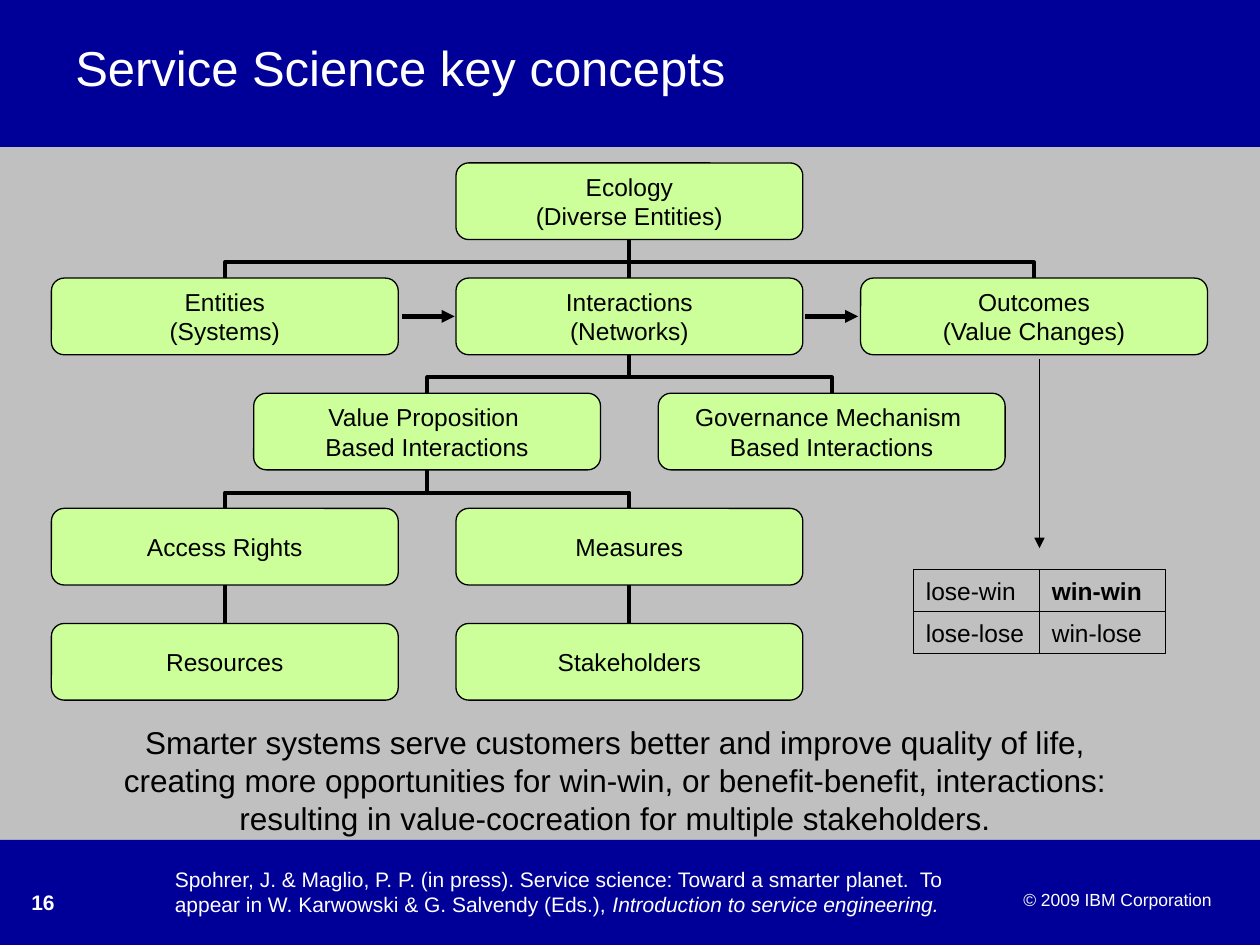
from dataclasses import dataclass
from typing import NamedTuple

from lxml import etree
from pptx import Presentation
from pptx import util as u
from pptx.dml.color import RGBColor
from pptx.enum import shapes, text
from pptx.oxml.ns import qn

Pt = u.Pt


@dataclass(frozen=True)
class Theme:
    font: str = "Arial"
    navy: str = "000099"
    grey: str = "C0C0C0"
    green: str = "CCFF99"
    black: str = "000000"
    white: str = "FFFFFF"
    title: float = 28
    statement: float = 18
    label: float = 14
    footer: float = 12
    copyright: float = 10
    thin: float = 0.75
    link: float = 2.25
    arrow: float = 2.5


THEME = Theme()


class Area(NamedTuple):
    left: float
    top: float
    width: float
    height: float


class Concept(NamedTuple):
    column: int  # in half-column steps
    row: int
    lines: list[str]
    parent: str = ""


class Run(NamedTuple):
    words: str
    style: dict = {}


class Caption(NamedTuple):
    area: Area
    paragraphs: list[list[Run]]
    size: float
    color: str
    frame: dict = {}
    paragraph: dict = {}


STEP, FIRST_LEFT, BOX_WIDTH = 115.6, 29.4, 198.2
PITCH, FIRST_TOP, BOX_HEIGHT = 65.8, 93.1, 43.8
BEND = 59.2  # percent of the way from parent to child
TOP, BOTTOM = 0, 2

CONCEPTS = {
    "ecology": Concept(2, 0, ["Ecology", "(Diverse Entities)"]),
    "entities": Concept(0, 1, ["Entities", "(Systems)"], "ecology"),
    "interactions": Concept(2, 1, ["Interactions", "(Networks)"], "ecology"),
    "outcomes": Concept(4, 1, ["Outcomes", "(Value Changes)"], "ecology"),
    "value": Concept(1, 2, ["Value Proposition ", "Based Interactions"], "interactions"),
    "governance": Concept(3, 2, ["Governance Mechanism ", "Based Interactions"], "interactions"),
    "access": Concept(0, 3, ["Access Rights"], "value"),
    "measures": Concept(2, 3, ["Measures"], "value"),
    "resources": Concept(0, 4, ["Resources"], "access"),
    "stakeholders": Concept(2, 4, ["Stakeholders"], "measures"),
}

OUTCOME_GRID = [[Run("lose-win"), Run("win-win", {"bold": True})],
                [Run("lose-lose"), Run("win-lose")]]
GRID = Area(522, 325.4, 72, 24)  # first cell

CENTER = {"alignment": text.PP_ALIGN.CENTER}
CAPTIONS = [
    Caption(Area(36, 21.6, 648, 90), [[Run("Service Science key concepts")]],
            THEME.title, THEME.white, paragraph={"line_spacing": 0.9}),
    Caption(Area(41.5, 409.7, 620, 72),
            [[Run("Smarter systems serve customers better and improve quality of life,")],
             [Run("creating more opportunities for win-win, or benefit-benefit, interactions:")],
             [Run("resulting in value-cocreation for multiple stakeholders.")]],
            THEME.statement, THEME.black,
            {"word_wrap": False, "vertical_anchor": text.MSO_ANCHOR.BOTTOM}, CENTER),
    Caption(Area(92.8, 491.6, 494, 36),
            [[Run("Spohrer, J. & Maglio, P. P. (in press). Service science: Toward a "
                  "smarter planet.  To appear in W. Karwowski & G. Salvendy (Eds.), "),
              Run("Introduction to service engineering.", {"italic": True})]],
            THEME.footer, THEME.white),
    Caption(Area(10.8, 504.5, 79.2, 25), [[Run("16", {"bold": True})]],
            THEME.footer, THEME.white),
    Caption(Area(569.4, 504.7, 130, 19.4), [[Run("© 2009 IBM Corporation")]],
            THEME.copyright, THEME.white, paragraph={"alignment": text.PP_ALIGN.RIGHT}),
]


def apply(target, values: dict) -> None:
    for name, value in values.items():
        setattr(target, name, value)


def write(frame, paragraphs: list[list[Run]], size: float, color: str,
          frame_style: dict, paragraph_style: dict) -> None:
    apply(frame, {"word_wrap": True, **frame_style})
    for index, runs in enumerate(paragraphs):
        paragraph = frame.add_paragraph() if index else frame.paragraphs[0]
        apply(paragraph, paragraph_style)
        for words, style in runs:
            run = paragraph.add_run()
            run.text = words
            apply(run.font, {"name": THEME.font, "size": Pt(size), **style})
            run.font.color.rgb = RGBColor.from_string(color)


def add_block(slide, kind, area: Area, fill: str = "", line: str = ""):
    """Add a preset shape; without a colour its fill or line is left off."""
    block = slide.shapes.add_shape(kind, *map(Pt, area))
    block.shadow.inherit = False
    for paint, color in ((block.fill, fill), (block.line.fill, line)):
        if color:
            paint.solid()
            paint.fore_color.rgb = RGBColor.from_string(color)
        else:
            paint.background()
    block.line.width = Pt(THEME.thin)
    return block


def add_line(slide, kind, ends: tuple, width: float, arrow: bool = False):
    line = slide.shapes.add_connector(kind, *map(Pt, ends))
    line.line.width = Pt(width)
    line.line.color.rgb = RGBColor.from_string(THEME.black)
    if arrow:
        etree.SubElement(line.line._get_or_add_ln(), qn("a:tailEnd"), type="triangle")
    etree.SubElement(line._element.spPr, qn("a:effectLst"))
    return line


def concept_area(concept: Concept) -> Area:
    return Area(FIRST_LEFT + concept.column * STEP, FIRST_TOP + concept.row * PITCH,
                BOX_WIDTH, BOX_HEIGHT)


def add_concept(slide, concept: Concept):
    box = add_block(slide, shapes.MSO_SHAPE.ROUNDED_RECTANGLE, concept_area(concept),
                    THEME.green, THEME.black)
    margins = dict.fromkeys(("margin_left", "margin_top", "margin_right", "margin_bottom"), 0)
    write(box.text_frame, [[Run(line)] for line in concept.lines], THEME.label, THEME.black,
          {"word_wrap": False, "vertical_anchor": text.MSO_ANCHOR.MIDDLE, **margins}, CENTER)
    return box


def add_elbow(slide, parent: Area, child: Area) -> None:
    """Run down, across and down, as a horizontal elbow turned by a quarter."""
    start_x, end_x = (area.left + area.width / 2 for area in (parent, child))
    start_y, end_y = parent.top + parent.height, child.top
    drop, span = end_y - start_y, abs(end_x - start_x)
    left = (start_x + end_x - drop) / 2
    top = (start_y + end_y - span) / 2
    rightward = end_x > start_x
    across = (left + drop, left) if rightward else (left, left + drop)
    elbow = add_line(slide, shapes.MSO_CONNECTOR.ELBOW,
                     (across[0], top, across[1], top + span), THEME.link)
    properties = elbow._element.spPr
    properties.find(qn("a:xfrm")).set("rot", str((270 if rightward else 90) * 60000))
    guides = properties.find(qn("a:prstGeom")).get_or_add_avLst()
    etree.SubElement(guides, qn("a:gd"), name="adj1", fmla=f"val {round(BEND * 1000)}")


def add_hierarchy(slide) -> None:
    boxes = {key: add_concept(slide, concept) for key, concept in CONCEPTS.items()}
    for key, child in CONCEPTS.items():
        if not child.parent:
            continue
        parent = CONCEPTS[child.parent]
        if parent.column == child.column:
            link = add_line(slide, shapes.MSO_CONNECTOR.STRAIGHT, (0, 0, 0, 0), THEME.link)
            link.begin_connect(boxes[child.parent], BOTTOM)
            link.end_connect(boxes[key], TOP)
        else:
            add_elbow(slide, concept_area(parent), concept_area(child))


def add_outcome_grid(slide) -> None:
    for row, cells in enumerate(OUTCOME_GRID):
        for column, label in enumerate(cells):
            area = GRID._replace(left=GRID.left + column * GRID.width,
                                 top=GRID.top + row * GRID.height)
            cell = add_block(slide, shapes.MSO_SHAPE.RECTANGLE, area, line=THEME.black)
            write(cell.text_frame, [[label]], THEME.label, THEME.black,
                  {"word_wrap": False, "vertical_anchor": text.MSO_ANCHOR.MIDDLE},
                  {"alignment": text.PP_ALIGN.LEFT})


def main() -> None:
    deck = Presentation()
    apply(deck, {"slide_width": Pt(720), "slide_height": Pt(540)})
    slide = deck.slides.add_slide(deck.slide_layouts[6])
    slide.background.fill.solid()
    slide.background.fill.fore_color.rgb = RGBColor.from_string(THEME.grey)
    for band in (Area(0, 0, 720, 84), Area(0, 480, 720, 60)):
        add_block(slide, shapes.MSO_SHAPE.RECTANGLE, band, THEME.navy)
    add_hierarchy(slide)
    add_outcome_grid(slide)
    for ends, width in (((229.6, 180.8, 259.8, 180.8), THEME.arrow),
                        ((460.2, 180.8, 490.4, 180.8), THEME.arrow),
                        ((594, 205.2, 594, 313.2), THEME.thin)):
        add_line(slide, shapes.MSO_CONNECTOR.STRAIGHT, ends, width, arrow=True)
    for caption in CAPTIONS:
        box = slide.shapes.add_textbox(*map(Pt, caption.area))
        write(box.text_frame, *caption[1:])
    deck.save("out.pptx")


if __name__ == "__main__":
    main()
